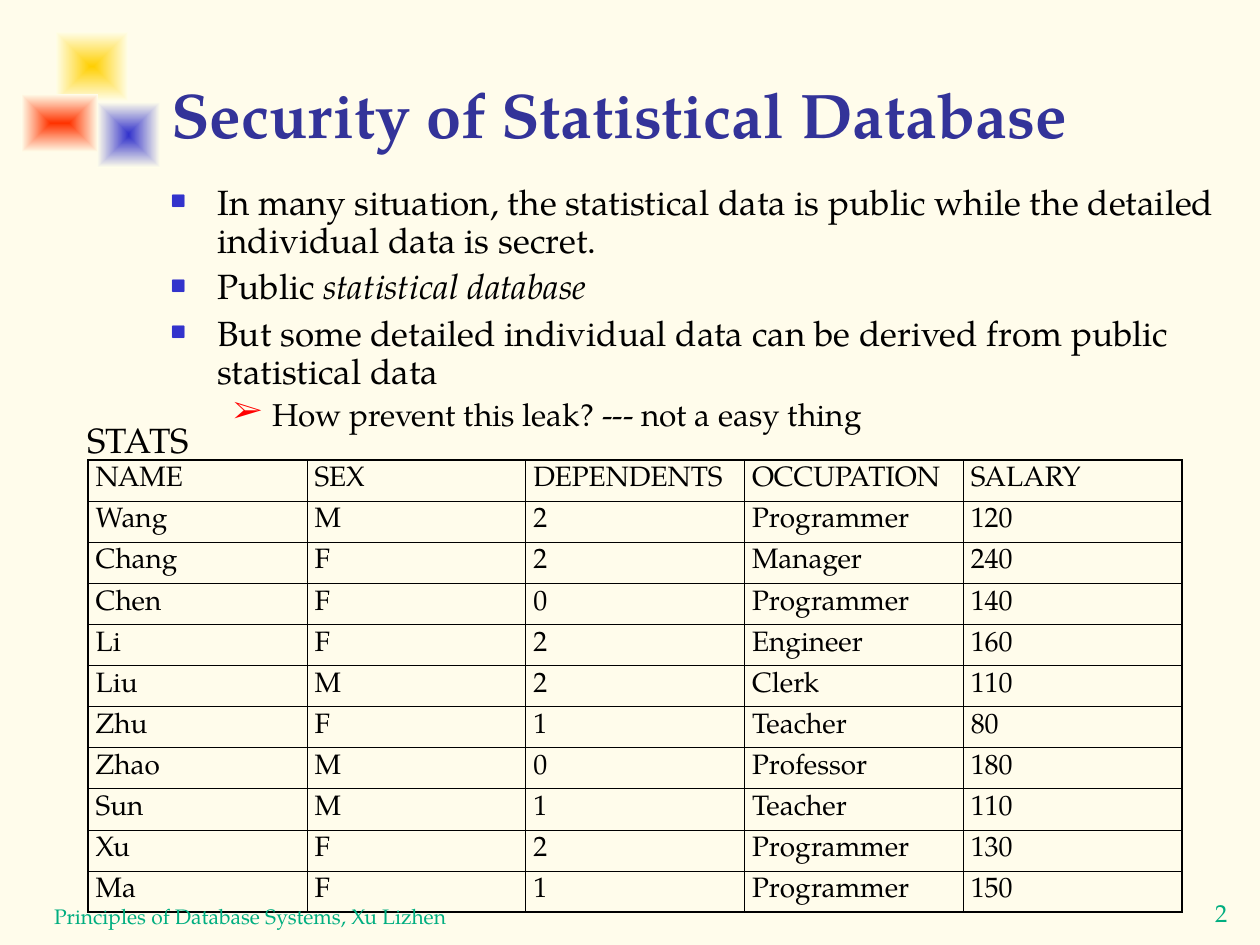
from lxml import etree
from pptx import Presentation
from pptx.dml.color import RGBColor
from pptx.enum.shapes import MSO_SHAPE
from pptx.enum.text import MSO_ANCHOR, MSO_AUTO_SIZE, PP_ALIGN
from pptx.oxml import parse_xml
from pptx.oxml.ns import qn
from pptx.util import Cm, Pt

RECT = MSO_SHAPE.RECTANGLE
TOP, LOW = MSO_ANCHOR.TOP, MSO_ANCHOR.BOTTOM
LEFT, MID = PP_ALIGN.LEFT, PP_ALIGN.CENTER
FIXED = MSO_AUTO_SIZE.NONE
FONT = "TeX Gyre Pagella"
NS = "http://schemas.openxmlformats.org/drawingml/2006/main"

HUE = {
    "page": "FFFCEB", "fade": "FFFEEB", "gold": "FFCF01", "blue": "3333CC",
    "red": "FF3300", "title": "333399", "text": "000000", "foot": "00AE80",
    "mark": "FF0000",
}

TITLE = "Security of Statistical Database"
POINTS = [
    (0, [("In many situation, the statistical data is public while "
          "the detailed individual data is secret.", False)]),
    (0, [("Public ", False), ("statistical database", True)]),
    (0, [("But some detailed individual data can be derived from "
          "public statistical data", False)]),
    (1, [("How prevent this leak? --- not a easy thing", False)]),
]
LEVELS = [
    {"size": 20, "before": 5, "left": 0.95, "hang": 0.95,
     "char": "■", "hue": "blue", "scale": 60},
    {"size": 18, "before": 4.5, "left": 2.06, "hang": 0.79,
     "char": "➢", "hue": "mark", "scale": 100},
]
STATS = [
    ("NAME", "SEX", "DEPENDENTS", "OCCUPATION", "SALARY"),
    ("Wang", "M", "2", "Programmer", "120"),
    ("Chang", "F", "2", "Manager", "240"),
    ("Chen", "F", "0", "Programmer", "140"),
    ("Li", "F", "2", "Engineer", "160"),
    ("Liu", "M", "2", "Clerk", "110"),
    ("Zhu", "F", "1", "Teacher", "80"),
    ("Zhao", "M", "0", "Professor", "180"),
    ("Sun", "M", "1", "Teacher", "110"),
    ("Xu", "F", "2", "Programmer", "130"),
    ("Ma", "F", "1", "Programmer", "150"),
]
SQUARES = [
    ("gold", (1.12, 0.64, 1.47, 1.4)),
    ("blue", (1.96, 2.06, 1.27, 1.32)),
    ("red", (0.43, 1.9, 1.55, 1.17)),
]
LABELS = [
    ("2", (23.11, 17.98, 3.02, 0.97), 14, "foot", MID, TOP, False),
    ("Principles of Database Systems, Xu Lizhen",
     (0.84, 17.58, 16.51, 1.27), 12, "foot", LEFT, LOW, True),
    ("STATS", (1.47, 8.31, 2.64, 1.12), 20, "text", MID, TOP, False),
]


def place(shape, box):
    shape.left, shape.top, shape.width, shape.height = map(Cm, box)


def style(para, size, hue, bold=False):
    for run in para.runs:
        run.font.name = FONT
        run.font.size = Pt(size)
        run.font.bold = bold
        run.font.color.rgb = RGBColor.from_string(HUE[hue])


def add_square(slide, hue, box):
    shape = slide.shapes.add_shape(RECT, *map(Cm, box))
    shape.shadow.inherit = False
    shape.line.fill.background()
    shape.fill.background()
    blank = shape.fill._xPr.find(qn("a:noFill"))
    blank.getparent().replace(blank, parse_xml(
        f'<a:gradFill xmlns:a="{NS}" rotWithShape="1"><a:gsLst>'
        f'<a:gs pos="0"><a:srgbClr val="{HUE[hue]}"/></a:gs>'
        f'<a:gs pos="100000"><a:srgbClr val="{HUE["fade"]}"/></a:gs>'
        '</a:gsLst><a:path path="rect"><a:fillToRect l="50000" t="50000" '
        'r="50000" b="50000"/></a:path></a:gradFill>'))


def add_label(slide, text, box, size, hue, align, anchor, wrap):
    frame = slide.shapes.add_textbox(*map(Cm, box)).text_frame
    frame.text = text
    frame.word_wrap = wrap
    frame.vertical_anchor = anchor
    para = frame.paragraphs[0]
    para.alignment = align
    style(para, size, hue)


def add_title(slide):
    shape = slide.shapes.title
    place(shape, (3.2, 0.43, 21.64, 2.74))
    frame = shape.text_frame
    frame.text = TITLE
    frame.auto_size = FIXED
    frame.vertical_anchor = LOW
    frame.paragraphs[0].alignment = LEFT
    style(frame.paragraphs[0], 36, "title", True)


def set_bullet(para, look):
    props = para._p.get_or_add_pPr()
    props.set("marL", str(Cm(look["left"])))
    props.set("indent", str(-Cm(look["hang"])))
    color = etree.SubElement(props, qn("a:buClr"))
    etree.SubElement(color, qn("a:srgbClr"), val=HUE[look["hue"]])
    etree.SubElement(props, qn("a:buSzPct"), val=str(look["scale"] * 1000))
    etree.SubElement(props, qn("a:buFont"), typeface=FONT)
    etree.SubElement(props, qn("a:buChar"), char=look["char"])


def add_points(slide):
    shape = slide.placeholders[1]
    place(shape, (3.18, 3.61, 21.89, 5.56))
    frame = shape.text_frame
    frame.auto_size = FIXED
    for num, (level, parts) in enumerate(POINTS):
        para = frame.add_paragraph() if num else frame.paragraphs[0]
        look = LEVELS[level]
        para.level = level
        para.line_spacing = 0.9
        para.space_before = Pt(look["before"])
        set_bullet(para, look)
        for text, slant in parts:
            run = para.add_run()
            run.text = text
            run.font.italic = slant
        style(para, look["size"], "text")


def set_edges(cell, outer):
    props = cell._tc.get_or_add_tcPr()
    for side, rim in zip("LRTB", outer):
        line = etree.SubElement(props, qn(f"a:ln{side}"),
                                w=str(Pt(1.08 if rim else 0.45)))
        fill = etree.SubElement(line, qn("a:solidFill"))
        etree.SubElement(fill, qn("a:srgbClr"), val=HUE["text"])


def add_stats(slide):
    rows, cols = len(STATS), len(STATS[0])
    box = map(Cm, (1.78, 9.27, 22.05, 8.56))
    table = slide.shapes.add_table(rows, cols, *box).table
    table.first_row = table.horz_banding = False
    for row, values in enumerate(STATS):
        for col, value in enumerate(values):
            cell = table.cell(row, col)
            cell.text_frame.text = value
            cell.margin_left = cell.margin_right = Cm(0.15)
            cell.margin_top = cell.margin_bottom = Cm(0.13)
            set_edges(cell, (col == 0, col == cols - 1,
                             row == 0, row == rows - 1))
            cell.fill.background()
            para = cell.text_frame.paragraphs[0]
            para.space_before = Pt(4)
            style(para, 16, "text")


def main():
    deck = Presentation()
    deck.slide_width, deck.slide_height = Cm(25.4), Cm(19.05)
    slide = deck.slides.add_slide(deck.slide_layouts[1])
    back = slide.background.fill
    back.solid()
    back.fore_color.rgb = RGBColor.from_string(HUE["page"])
    for square in SQUARES:
        add_square(slide, *square)
    add_title(slide)
    add_points(slide)
    add_stats(slide)
    for label in LABELS:
        add_label(slide, *label)
    deck.save("out.pptx")


if __name__ == "__main__":
    main()
